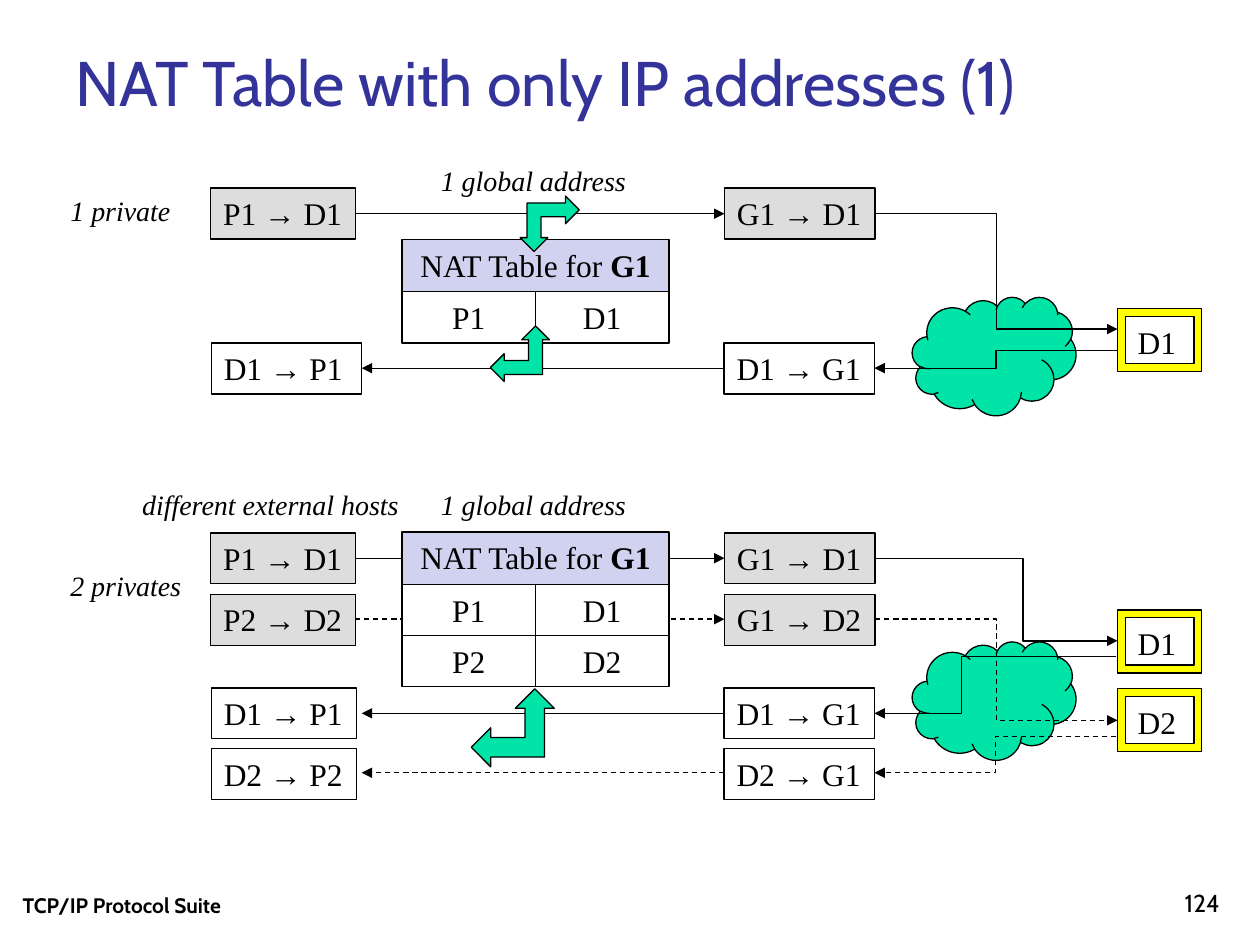
from dataclasses import dataclass

from lxml import etree
from pptx import Presentation
from pptx.dml.color import RGBColor
from pptx.enum.dml import MSO_LINE
from pptx.enum.shapes import MSO_CONNECTOR, MSO_SHAPE
from pptx.enum.text import MSO_ANCHOR, MSO_AUTO_SIZE, PP_ALIGN
from pptx.oxml.ns import qn
from pptx.util import Pt

RECT, FRAME = MSO_SHAPE.RECTANGLE, MSO_SHAPE.FRAME
CLOUD, TURN = MSO_SHAPE.CLOUD, MSO_SHAPE.LEFT_UP_ARROW
STRAIGHT, ELBOW = MSO_CONNECTOR.STRAIGHT, MSO_CONNECTOR.ELBOW
DASH = MSO_LINE.DASH
TOP, BOTTOM = MSO_ANCHOR.TOP, MSO_ANCHOR.BOTTOM
LEFT, CENTER, RIGHT = PP_ALIGN.LEFT, PP_ALIGN.CENTER, PP_ALIGN.RIGHT
FIT, FIXED = MSO_AUTO_SIZE.SHAPE_TO_FIT_TEXT, MSO_AUTO_SIZE.NONE


@dataclass(frozen=True)
class Theme:
    sans: str = "Cabin"
    serif: str = "Times New Roman"
    black: str = "000000"
    title: str = "333399"
    white: str = "FFFFFF"
    outgoing: str = "DDDDDD"
    header: str = "D1D1F0"
    green: str = "00E4A8"
    host: str = "FFFF00"
    title_size: int = 36
    body_size: int = 18
    label_size: int = 16
    number_size: int = 14
    footer_size: int = 12
    stroke: float = 0.75


class Diagram:
    def __init__(self, slide, theme):
        self.s = slide
        self.t = theme

    def add_runs(self, sp, runs, size, font, color=None, align=LEFT, anchor=TOP,
                 wrap=True, fit=FIXED, italic=False):
        tf = sp.text_frame
        tf.word_wrap = wrap
        tf.auto_size = fit
        tf.vertical_anchor = anchor
        p = tf.paragraphs[0]
        p.alignment = align
        for text, bold in runs:
            r = p.add_run()
            r.text = text
            r.font.name = font
            r.font.size = Pt(size)
            r.font.bold = bold
            r.font.italic = italic
            r.font.color.rgb = RGBColor.from_string(color or self.t.black)

    def text(self, x, y, w, h, text, size, font, bold=False, **style):
        sp = self.s.shapes.add_textbox(Pt(x), Pt(y), Pt(w), Pt(h))
        self.add_runs(sp, [(text, bold)], size, font, **style)

    def label(self, x, y, w, text):
        self.text(x, y, w, 26.6, text, self.t.label_size, self.t.serif,
                  wrap=False, fit=FIT, italic=True)

    def shape(self, kind, x, y, w, h, fill=None, rotation=0):
        sp = self.s.shapes.add_shape(kind, Pt(x), Pt(y), Pt(w), Pt(h))
        sp.shadow.inherit = False
        sp.rotation = rotation
        if fill:
            sp.fill.solid()
            sp.fill.fore_color.rgb = RGBColor.from_string(fill)
        else:
            sp.fill.background()
        sp.line.color.rgb = RGBColor.from_string(self.t.black)
        sp.line.width = Pt(self.t.stroke)
        return sp

    def packet(self, x, y, w, text, fill=None):
        sp = self.shape(RECT, x, y, w, 29.1, fill)
        self.add_runs(sp, [(text, False)], self.t.body_size, self.t.serif,
                      wrap=False, fit=FIT)

    def host(self, y, text):
        sp = self.shape(FRAME, 638.6, y, 48.2, 36, self.t.host)
        self.add_runs(sp, [(text, False)], self.t.body_size, self.t.serif)

    def cell(self, x, y, w, h, runs, fill):
        sp = self.shape(RECT, x, y, w, h, fill)
        self.add_runs(sp, runs, self.t.body_size, self.t.serif,
                      align=CENTER, fit=FIT)

    def nat_table(self, y, rows):
        x, w, head, row_h = 229.7, 76.3, 30, 29.2
        for i, row in enumerate(rows):
            for j, text in enumerate(row):
                self.cell(x + j * w, y + head + i * row_h, w, row_h,
                          [(text, False)], self.t.white)
        self.cell(x, y, 2 * w, head,
                  [("NAT Table for ", False), ("G1", True)], self.t.header)

    def cloud(self, y):
        self.shape(CLOUD, 521.3, y, 93.6, 67.7, self.t.green)

    def turn(self, x, y, w, h, rotation=0):
        self.shape(TURN, x, y, w, h, self.t.green, rotation)

    def arrow(self, x1, y1, x2, y2, dash=None, bend=None):
        kind = ELBOW if bend else STRAIGHT
        c = self.s.shapes.add_connector(kind, Pt(x1), Pt(y1), Pt(x2), Pt(y2))
        c.line.color.rgb = RGBColor.from_string(self.t.black)
        c.line.width = Pt(self.t.stroke)
        if dash:
            c.line.dash_style = dash
        pr = c._element.spPr
        if bend:
            guides = pr.find(qn("a:prstGeom")).get_or_add_avLst()
            etree.SubElement(guides, qn("a:gd"), name="adj1",
                             fmla=f"val {round(bend * 100000)}")
        etree.SubElement(pr.find(qn("a:ln")), qn("a:tailEnd"), type="triangle")
        etree.SubElement(pr, qn("a:effectLst"))


def frame_text(d):
    t = d.t
    d.text(5.8, 491.8, 228, 36, "TCP/IP Protocol Suite", t.footer_size, t.sans,
           bold=True, anchor=BOTTOM)
    d.text(554.4, 491.8, 149.8, 36, "124", t.number_size, t.sans,
           align=RIGHT, anchor=BOTTOM)
    d.text(36, 21.6, 648, 50.4, "NAT Table with only IP addresses (1)",
           t.title_size, t.sans, color=t.title)


def one_private(d):
    d.packet(120.4, 107.5, 83, "P1 → D1", d.t.outgoing)
    d.packet(414, 107.5, 86, "G1 → D1", d.t.outgoing)
    d.arrow(203, 122.1, 414, 122.1)
    d.nat_table(136.8, [("P1", "D1")])
    d.cloud(169.7)
    d.host(176.4, "D1")
    d.arrow(500.2, 122.1, 638.6, 188.1, bend=0.5)
    d.packet(413.8, 196, 86, "D1 → G1")
    d.arrow(638.6, 200.2, 499.7, 210.4, bend=0.5)
    d.arrow(414, 210.4, 206.7, 210.4)
    d.packet(120.8, 196, 86, "D1 → P1")
    d.turn(297.2, 112, 33.8, 31.7, rotation=180)
    d.turn(280.2, 186.3, 33.8, 31.7)
    d.label(33.1, 107.3, 72.7, "1 private")
    d.label(244.8, 89.8, 121.7, "1 global address")


def two_privates(d):
    d.cloud(366.6)
    d.host(348.6, "D1")
    d.host(393.6, "D2")
    flows = [(1, 304.5, 319, 366.2, 0.61, 393.1, 407.6, 375.1, 0.64, None),
             (2, 339.6, 353.8, 411.6, 0.5, 427.9, 441.6, 420.8, 0.5, DASH)]
    for n, out_y, out_line, to_host, bend, in_y, in_line, from_host, back, dash in flows:
        d.packet(120.4, out_y, 83, f"P{n} → D{n}", d.t.outgoing)
        d.packet(414, out_y, 86, f"G1 → D{n}", d.t.outgoing)
        d.arrow(203, out_line, 414, out_line, dash)
        d.arrow(500.2, out_line, 638.6, to_host, dash, bend)
        d.packet(413.8, in_y, 86, f"D{n} → G1")
        d.packet(120.8, in_y, 83, f"D{n} → P{n}")
        d.arrow(638, from_host, 499.7, in_line, dash, back)
        d.arrow(414, in_line, 206.7, in_line, dash)
    d.nat_table(304.1, [("P1", "D1"), ("P2", "D2")])
    d.turn(269.3, 393.6, 47.5, 44.6)
    d.label(33.1, 321.1, 79.2, "2 privates")
    d.label(244.8, 275, 121.7, "1 global address")
    d.label(74.2, 275.2, 163.4, "different external hosts")


def main():
    prs = Presentation()
    prs.slide_width, prs.slide_height = Pt(720), Pt(540)
    d = Diagram(prs.slides.add_slide(prs.slide_layouts[6]), Theme())
    frame_text(d)
    one_private(d)
    two_privates(d)
    prs.save("out.pptx")


if __name__ == "__main__":
    main()
